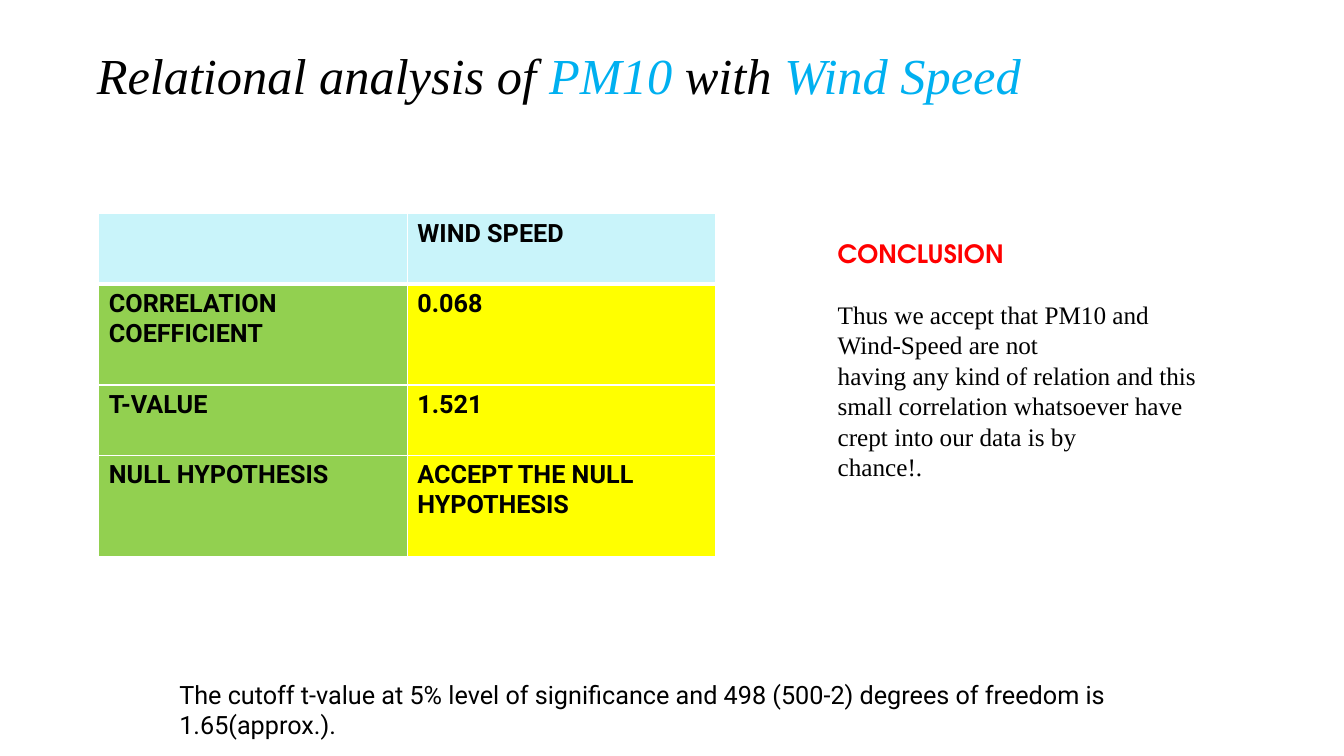
from lxml import etree
from pptx import Presentation
from pptx.dml.color import RGBColor
from pptx.enum.text import MSO_ANCHOR, MSO_AUTO_SIZE, PP_ALIGN
from pptx.oxml.ns import qn
from pptx.util import Inches, Pt

BLACK = RGBColor(0x00, 0x00, 0x00)
RED = RGBColor(0xFF, 0x00, 0x00)
BLUE = RGBColor(0x00, 0xB0, 0xF0)
PALE_BLUE = RGBColor(0xC9, 0xF4, 0xFA)
GREEN = RGBColor(0x92, 0xD0, 0x50)
YELLOW = RGBColor(0xFF, 0xFF, 0x00)
WHITE = "FFFFFF"
SANS, SERIF, HEADING = "Roboto", "Times New Roman", "TeX Gyre Adventor"

# Content
TITLE = [
    ("Relational analysis of ", BLACK),
    ("PM10", BLUE),
    (" with ", BLACK),
    ("Wind Speed", BLUE),
]
RESULTS = [
    ("", "WIND SPEED"),
    ("CORRELATION COEFFICIENT", "0.068"),
    ("T-VALUE", "1.521"),
    ("NULL HYPOTHESIS", "ACCEPT THE NULL HYPOTHESIS"),
]
ROW_HEIGHTS = [0.7, 1.0, 0.7, 1.0]
COLUMN_WIDTH = 3.06
CONCLUSION = [
    "CONCLUSION",
    "Thus we accept that PM10 and Wind-Speed are not",
    "having any kind of relation and this small correlation whatsoever have "
    "crept into our data is by",
    "chance!.",
]
CUTOFF = ("The cutoff t-value at 5% level of significance and 498 (500-2) "
          "degrees of freedom is 1.65(approx.).")
LINE_HEIGHT = Pt(21.8)


def style(span, font, size, color, bold=False, italic=False):
    span.font.name = font
    span.font.size = Pt(size)
    span.font.color.rgb = color
    span.font.bold = bold
    span.font.italic = italic


def add_text_box(page, left, top, width, height):
    frame = page.shapes.add_textbox(*map(Inches, (left, top, width, height))).text_frame
    frame.word_wrap = True
    return frame


def set_borders(cell, top, bottom):
    properties = cell._tc.get_or_add_tcPr()
    sides = [("a:lnL", 1), ("a:lnR", 1), ("a:lnT", top), ("a:lnB", bottom)]
    for position, (side, points) in enumerate(sides):
        line = etree.Element(qn(side), w=str(Pt(points)))
        fill = etree.SubElement(line, qn("a:solidFill"))
        etree.SubElement(fill, qn("a:srgbClr"), val=WHITE)
        properties.insert(position, line)


deck = Presentation()
deck.slide_width, deck.slide_height = Inches(13.33), Inches(7.5)
page = deck.slides.add_slide(deck.slide_layouts[5])

# Title
title = page.shapes.title
title.left, title.top = Inches(0.86), Inches(0.39)
title.width, title.height = Inches(11.01), Inches(0.71)
title.text_frame.auto_size = MSO_AUTO_SIZE.NONE
title.text_frame.vertical_anchor = MSO_ANCHOR.TOP
para = title.text_frame.paragraphs[0]
para.alignment = PP_ALIGN.LEFT
for words, color in TITLE:
    span = para.add_run()
    span.text = words
    style(span, SERIF, 36, color, italic=True)

# Results table
table = page.shapes.add_table(
    len(RESULTS), 2, Inches(0.98), Inches(2.12),
    Inches(2 * COLUMN_WIDTH), Inches(sum(ROW_HEIGHTS))).table
for column in table.columns:
    column.width = Inches(COLUMN_WIDTH)
for r, (texts, height) in enumerate(zip(RESULTS, ROW_HEIGHTS)):
    table.rows[r].height = Inches(height)
    fills = (PALE_BLUE, PALE_BLUE) if r == 0 else (GREEN, YELLOW)
    for c, (words, color) in enumerate(zip(texts, fills)):
        cell = table.cell(r, c)
        cell.text = words
        for span in cell.text_frame.paragraphs[0].runs:
            style(span, SANS, 18, BLACK, bold=True)
        cell.fill.solid()
        cell.fill.fore_color.rgb = color
        set_borders(cell, top=3 if r == 1 else 1, bottom=3 if r == 0 else 1)

# Conclusion
frame = add_text_box(page, 8.21, 2.31, 3.89, 2.52)
frame.text = "\n".join(CONCLUSION)
heading, *body = frame.paragraphs
for para in frame.paragraphs:
    para.line_spacing = LINE_HEIGHT
heading.space_after = LINE_HEIGHT
style(heading.runs[0], HEADING, 18, RED, bold=True)
for para in body:
    style(para.runs[0], SERIF, 18, BLACK)

# Cutoff note
frame = add_text_box(page, 1.68, 6.69, 9.72, 0.71)
frame.text = CUTOFF
style(frame.paragraphs[0].runs[0], SANS, 18, BLACK)

deck.save("out.pptx")
